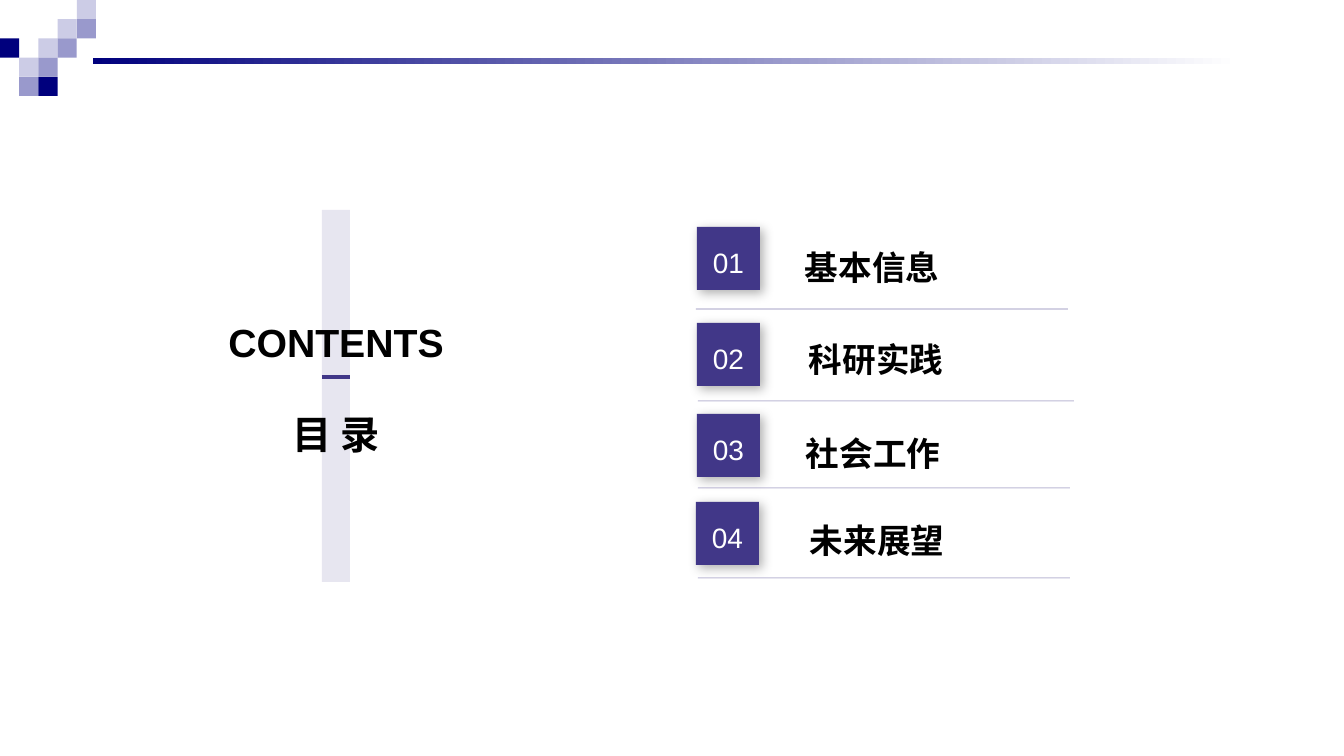
import pptx
import pptx.util
import pptx.dml.color
import pptx.enum.shapes
import pptx.enum.text
import pptx.oxml
import pptx.oxml.ns
import lxml.etree

RGB = pptx.dml.color.RGBColor
NAVY = RGB(0x00, 0x00, 0x7D)
BLUE = RGB(0x99, 0x99, 0xCC)
PALE = RGB(0xCC, 0xCC, 0xE6)
PURPLE = RGB(0x41, 0x37, 0x88)
WHITE = RGB(0xFF, 0xFF, 0xFF)
BLACK = RGB(0x00, 0x00, 0x00)

RECT = pptx.enum.shapes.MSO_SHAPE.RECTANGLE
STRAIGHT = pptx.enum.shapes.MSO_CONNECTOR.STRAIGHT
ALIGN = pptx.enum.text.PP_ALIGN
MIDDLE = pptx.enum.text.MSO_ANCHOR.MIDDLE
qn = pptx.oxml.ns.qn

PX = 914400 / 100.8

# Mosaic cells as (column, row, colour)
MOSAIC = [
    (4, 0, PALE), (3, 1, PALE), (4, 1, BLUE),
    (0, 2, NAVY), (2, 2, PALE), (3, 2, BLUE),
    (1, 3, PALE), (2, 3, BLUE), (1, 4, BLUE), (2, 4, NAVY),
]

# Agenda rows, relative to the list box: label, badge (x, y),
# label (x, y), rule (left, right, y)
AGENDA = [
    ("基本信息", (1, 5), (99, 0), (0, 372, 87)),
    ("科研实践", (1, 101), (103, 92), (2, 378, 179)),
    ("社会工作", (1, 192), (100, 186), (2, 374, 266)),
    ("未来展望", (0, 280), (104, 273), (2, 374, 356)),
]


def emu(*lengths):
    return [round(n * PX) for n in lengths]


def add_alpha(color_format_parent, percent):
    color = next(color_format_parent.iter(qn("a:srgbClr")))
    lxml.etree.SubElement(color, qn("a:alpha")).set("val", str(percent * 1000))


def add_rect(slide, x, y, w, h, color=None):
    sp = slide.shapes.add_shape(RECT, *emu(x, y, w, h))
    sp.shadow.inherit = False
    sp.line.fill.background()
    if color is not None:
        sp.fill.solid()
        sp.fill.fore_color.rgb = color
    return sp


def add_rule(slide, x1, x2, y, width, alpha=100):
    ln = slide.shapes.add_connector(STRAIGHT, *emu(x1, y, x2, y))
    ln.line.color.rgb = PURPLE
    ln.line.width = pptx.util.Pt(width)
    lxml.etree.SubElement(ln._element.spPr, qn("a:effectLst"))
    if alpha < 100:
        add_alpha(ln._element.spPr, alpha)


def write(sp, text, size, color, spacing, align, bold=False):
    p = sp.text_frame.paragraphs[0]
    p.alignment = align
    p.line_spacing = spacing
    r = p.add_run()
    r.text = text
    r.font.color.rgb = color
    font = {"name": "Arial", "size": pptx.util.Pt(size), "bold": bold}
    for key, value in font.items():
        setattr(r.font, key, value)


def add_label(slide, text, x, y, w, h, size, align=ALIGN.LEFT):
    tb = slide.shapes.add_textbox(*emu(x, y, w, h))
    tb.text_frame.word_wrap = True
    write(tb, text, size, BLACK, 1.5, align, bold=True)


def add_badge(slide, text, x, y, side):
    sp = add_rect(slide, x, y, side, side, PURPLE)
    sp.text_frame.word_wrap = False
    sp.text_frame.vertical_anchor = MIDDLE
    write(sp, text, 20, WHITE, 1.2, ALIGN.CENTER)
    # Soft shadow to the lower right
    effects = sp._element.spPr.find(qn("a:effectLst"))
    shadow = lxml.etree.SubElement(effects, qn("a:outerShdw"))
    settings = {"blurRad": 8 * 12700, "dist": 3 * 12700, "dir": 45 * 60000,
                "algn": "tl", "rotWithShape": 0}
    for key, value in settings.items():
        shadow.set(key, str(value))
    lxml.etree.SubElement(shadow, qn("a:srgbClr")).set("val", str(BLACK))
    add_alpha(shadow, 30)


def header(slide, x, y, side):
    # Fading bar
    bar = add_rect(slide, x + 93, y + 58, 1146, 6)
    bar.fill.gradient()
    bar.fill.gradient_angle = 0
    for stop, color, position in zip(bar.fill.gradient_stops, (NAVY, WHITE), (0, 1)):
        stop.color.rgb = color
        stop.position = position
    # Corner mosaic on a five by five grid
    cell = side / 5
    for col, row, color in MOSAIC:
        add_rect(slide, x + col * cell, y + row * cell, cell, cell, color)


def agenda(slide, x, y):
    for number, (label, badge, text, rule) in enumerate(AGENDA, 1):
        add_badge(slide, f"{number:02d}", x + badge[0], y + badge[1], 63)
        add_label(slide, label, x + text[0], y + text[1], 268, 65, 24)
        add_rule(slide, x + rule[0], x + rule[1], y + rule[2], 0.75, alpha=35)


def title(slide, x, y, w, h):
    # Pale column behind the two headings
    column = 28
    left = x + (w - column) / 2
    add_alpha(add_rect(slide, left, y, column, h, PURPLE)._element.spPr, 12)
    add_label(slide, "目 录", x + (w - 268) / 2, y + 172, 268, 73, 28, ALIGN.CENTER)
    add_label(slide, "CONTENTS", x, y + 80, w, 73, 28, ALIGN.CENTER)
    add_rule(slide, left, left + column, y + 167, 2.25)


def main():
    prs = pptx.Presentation()
    prs.slide_width, prs.slide_height = emu(1344, 756)
    slide = prs.slides.add_slide(prs.slide_layouts[6])
    header(slide, 0, 0, 96)
    agenda(slide, 696, 222)
    title(slide, 116, 210, 440, 372)
    prs.save("out.pptx")


if __name__ == "__main__":
    main()
